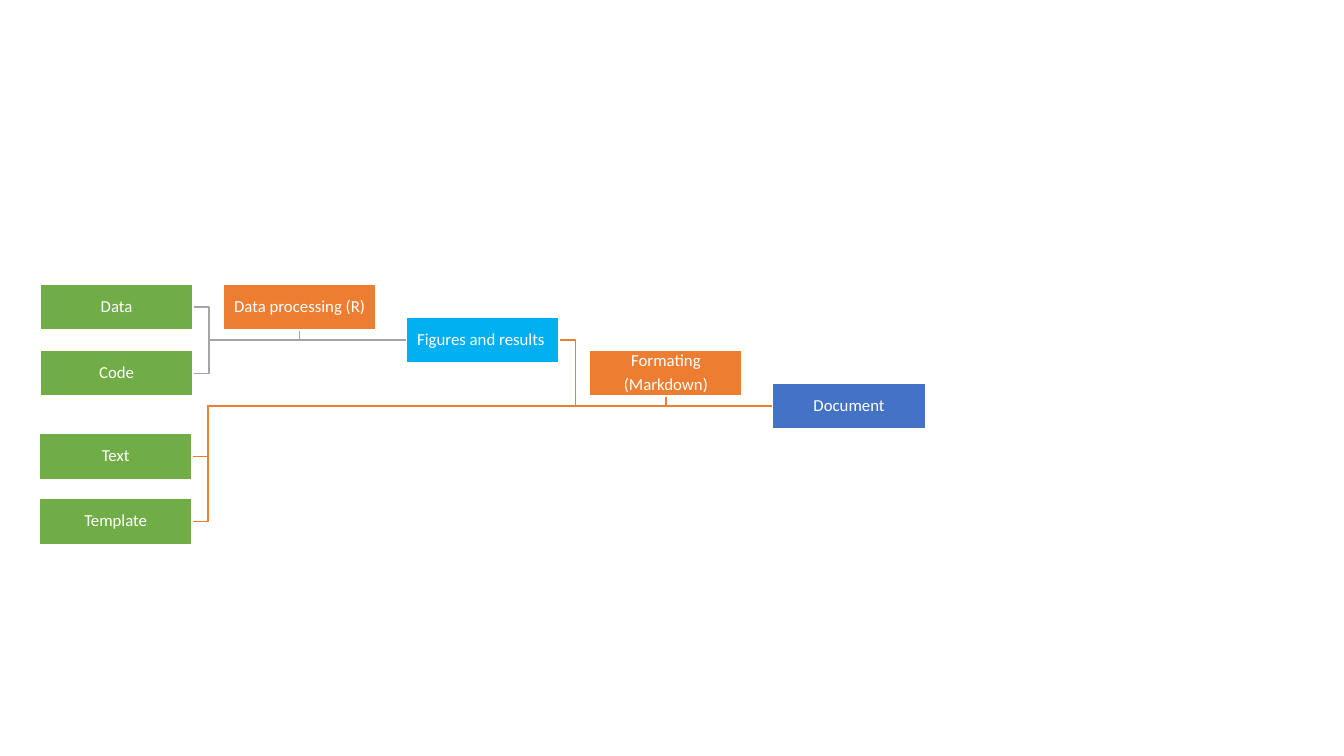
import pptx
import pptx.util
import pptx.dml.color
import pptx.enum.shapes
import pptx.enum.text

HUES = {"source": "70AD47", "step": "ED7D31", "result": "00B0F0",
        "goal": "4472C4", "grey": "A5A5A5", "white": "FFFFFF"}
WIDE, HIGH = pptx.util.Inches(13.33), pptx.util.Inches(7.5)
TILE = (0.1135 * WIDE, 0.0607 * HIGH)
ELBOW = 0.012 * WIDE


def hue(name):
    """Return the named colour."""
    return pptx.dml.color.RGBColor.from_string(HUES[name])


def bend(slide, points, tint):
    """Draw an open line through the points."""
    path = slide.shapes.build_freeform(*map(round, points[0]), scale=1.0)
    path.add_line_segments([(round(x), round(y)) for x, y in points[1:]], close=False)
    line = path.convert_to_shape()
    line.shadow.inherit = False
    line.fill.background()
    line.line.color.rgb = hue(tint)
    line.line.width = pptx.util.Pt(1)


def tile(slide, left, top, text, tint):
    """Draw one labelled box, one paragraph per line of text."""
    box = slide.shapes.add_shape(pptx.enum.shapes.MSO_SHAPE.RECTANGLE,
                                 *map(round, (left, top, *TILE)))
    box.shadow.inherit = False
    box.fill.solid()
    box.fill.fore_color.rgb = hue(tint)
    box.line.color.rgb = hue("white")
    box.line.width = pptx.util.Pt(1)
    frame = box.text_frame
    frame.word_wrap = True
    frame.vertical_anchor = pptx.enum.text.MSO_ANCHOR.MIDDLE
    for side in ("left", "right", "top", "bottom"):
        setattr(frame, "margin_" + side, pptx.util.Inches(0.01))
    frame.text = text
    for para in frame.paragraphs:
        para.alignment = pptx.enum.text.PP_ALIGN.CENTER
        para.line_spacing = 0.9
        para.space_after = pptx.util.Pt(4.2)
        para.font.name = "Calibri"
        para.font.size = pptx.util.Pt(12)
        para.font.color.rgb = hue("white")


def stage(slide, box, span, tiles, feeds, step, goal, tint):
    """Join feeds and step to a goal, then lay tiles on a grid in the box.

    The box is in shares of the slide; span counts its column and row gaps.
    """
    left, top, width, height = (part * size for part, size in
                                zip(box, (WIDE, HIGH, WIDE, HIGH)))
    col = (width - TILE[0]) / span[0]
    row = (height - TILE[1]) / span[1]

    def spot(cell, across=0, down=0):
        """Return a point of a cell's tile, given as shares of the tile."""
        return (left + cell[0] * col + across * TILE[0],
                top + cell[1] * row + down * TILE[1])

    end = spot(goal, 0, 0.5)
    foot = spot(step, 0.5, 1)
    bend(slide, [end, (foot[0], end[1]), foot], tint)
    for feed in feeds:
        port = spot(feed, 1, 0.5)
        turn = port[0] + ELBOW
        bend(slide, [end, (turn, end[1]), (turn, port[1]), port], tint)
    for cell, text, kind in tiles:
        tile(slide, *spot(cell), text, kind)


def main():
    """Build the slide and save it."""
    deck = pptx.Presentation()
    deck.slide_width, deck.slide_height = WIDE, HIGH
    slide = deck.slides.add_slide(deck.slide_layouts[6])

    text, form, figs = (-0.005, 2.53), (-0.005, 4.5), (2, -1)
    style, paper = (3, 0), (4, 1)
    stage(slide, (0.03, 0.463, 0.6585, 0.257), (4, 4.5),
          [(text, "Text", "source"), (form, "Template", "source"),
           (style, "Formating\n(Markdown)", "step"), (paper, "Document", "goal")],
          [text, form, figs], style, paper, "step")

    data, code, work, figs = (0, 0), (0, 2), (1, 0), (2, 1)
    stage(slide, (0.03, 0.376, 0.386, 0.148), (2, 2),
          [(data, "Data", "source"), (code, "Code", "source"),
           (work, "Data processing (R)", "step"),
           (figs, "Figures and results ", "result")],
          [data, code], work, figs, "grey")
    deck.save("out.pptx")


main()
